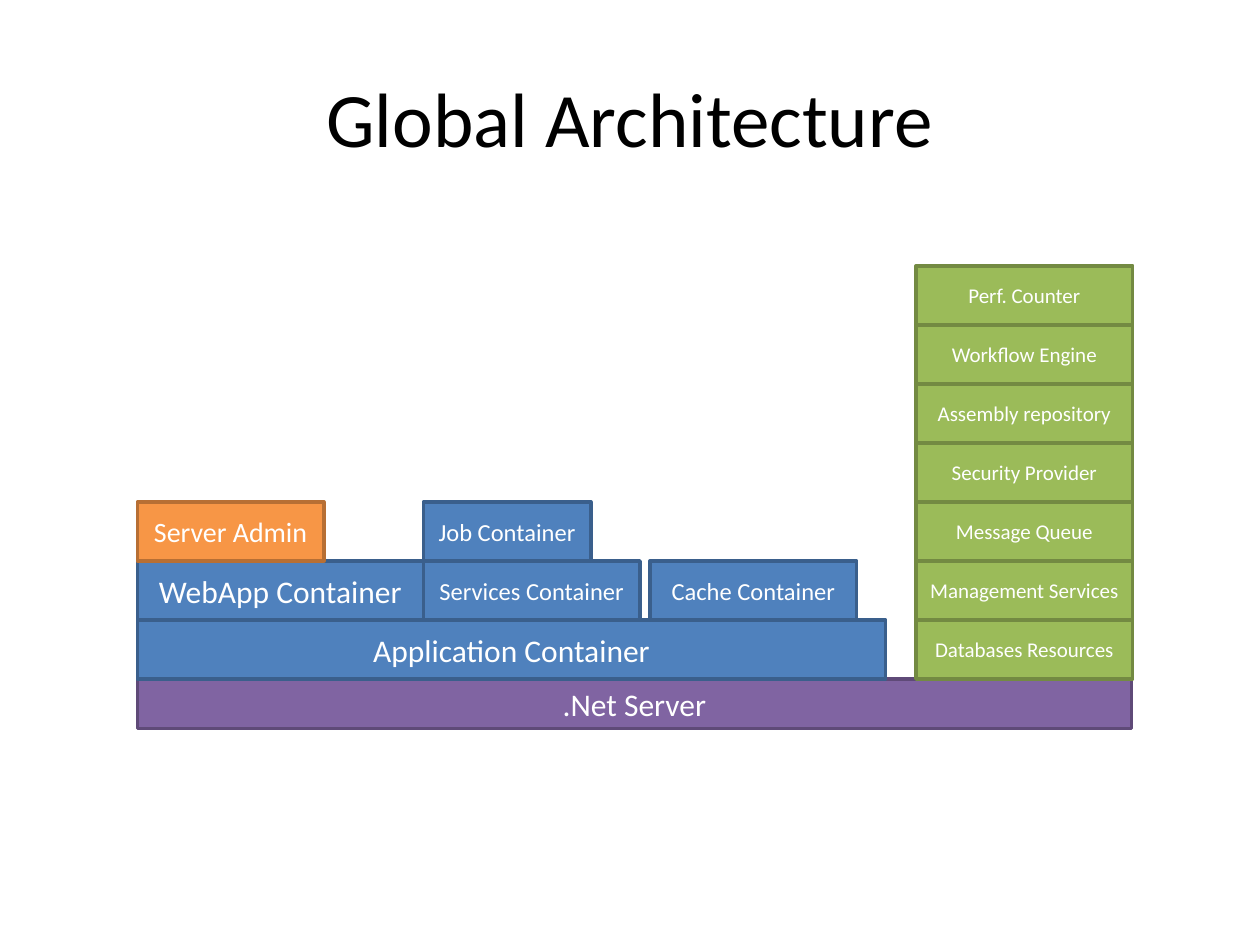
from dataclasses import dataclass

from pptx import Presentation
from pptx.dml.color import RGBColor
from pptx.enum import shapes, text
from pptx.util import Inches, Pt


@dataclass(frozen=True)
class Theme:
    font: str = "Calibri"
    title_color: str = "000000"
    label_color: str = "FFFFFF"
    # (fill, outline) pairs
    server: tuple = ("8064A2", "5F4A78")
    container: tuple = ("4F81BD", "3A5F8C")
    service: tuple = ("9BBB59", "738A42")
    admin: tuple = ("F79646", "B76F34")
    # Sizes in points
    title: int = 44
    large: int = 18
    medium: int = 16
    small: int = 14
    tiny: int = 12
    outline: int = 2


class SlideBuilder:
    def __init__(self, slide, theme):
        self.slide = slide
        self.theme = theme

    def set_label(self, shape, wording, size, color):
        frame = shape.text_frame
        frame.word_wrap = True
        frame.vertical_anchor = text.MSO_ANCHOR.MIDDLE
        frame.text = wording
        paragraph = frame.paragraphs[0]
        paragraph.alignment = text.PP_ALIGN.CENTER
        font = paragraph.runs[0].font
        font.name = self.theme.font
        font.size = Pt(size)
        font.color.rgb = RGBColor.from_string(color)

    def title(self, wording, left, top, width, height):
        heading = self.slide.shapes.add_textbox(
            Inches(left), Inches(top), Inches(width), Inches(height))
        self.set_label(heading, wording, self.theme.title,
                       self.theme.title_color)

    def block(self, wording, left, top, width, height, colors, size):
        block = self.slide.shapes.add_shape(
            shapes.MSO_SHAPE.RECTANGLE,
            Inches(left), Inches(top), Inches(width), Inches(height))
        block.shadow.inherit = False
        fill, outline = colors
        block.fill.solid()
        block.fill.fore_color.rgb = RGBColor.from_string(fill)
        block.line.color.rgb = RGBColor.from_string(outline)
        block.line.width = Pt(self.theme.outline)
        self.set_label(block, wording, size, self.theme.label_color)


def main():
    theme = Theme()
    deck = Presentation()
    deck.slide_width, deck.slide_height = Inches(10), Inches(7.5)
    builder = SlideBuilder(deck.slides.add_slide(deck.slide_layouts[6]), theme)

    builder.title("Global Architecture", 0.5, 0.3, 9, 1.25)

    # Every level stands on the server, one row above the other
    services = ["Databases Resources", "Management Services", "Message Queue",
                "Security Provider", "Assembly repository", "Workflow Engine",
                "Perf. Counter"]
    left, middle, service_left = 1.09, 3.36, 7.27
    server_top, stack_top = 5.39, 2.11
    row = (server_top - stack_top) / len(services)

    def level_top(level):
        return server_top - level * row

    # Server base
    builder.block(".Net Server", left, server_top, 7.89, 0.39,
                  theme.server, theme.large)

    # Containers: wording, left, level, width, type size
    containers = [
        ("Application Container", left, 1, 5.94, theme.large),
        ("WebApp Container", left, 2, middle - left, theme.large),
        ("Job Container", middle, 3, 1.33, theme.small),
        ("Services Container", middle, 2, 1.72, theme.small),
        ("Cache Container", 5.16, 2, 1.64, theme.small),
    ]
    for wording, x, level, width, size in containers:
        builder.block(wording, x, level_top(level), width, row,
                      theme.container, size)

    # Service stack, from the bottom up
    for level, service in enumerate(services, start=1):
        builder.block(service, service_left, level_top(level), 1.72, row,
                      theme.service, theme.tiny)

    # Administration
    builder.block("Server Admin", left, level_top(3), 1.48, row,
                  theme.admin, theme.medium)

    deck.save("out.pptx")


if __name__ == "__main__":
    main()
